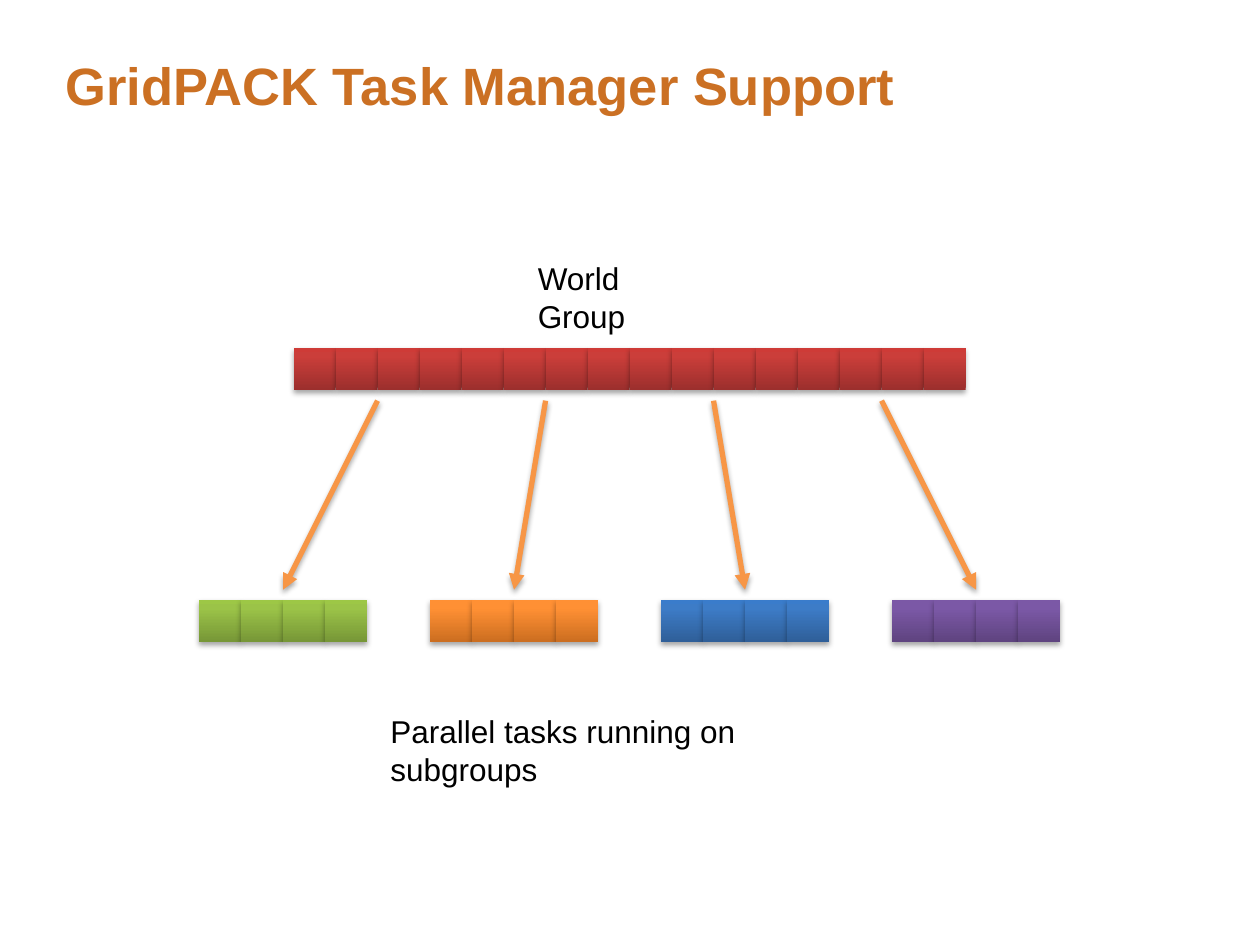
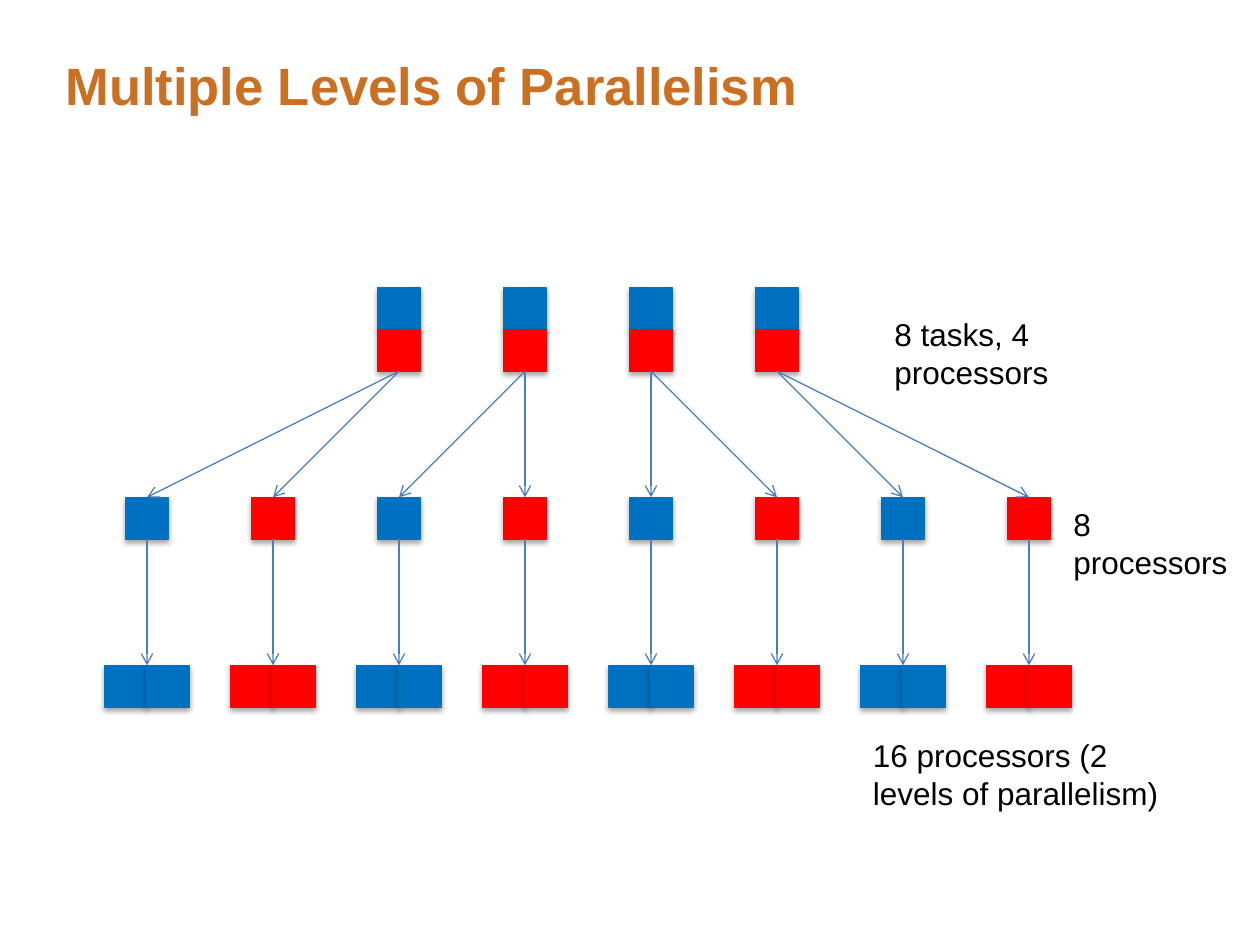
from copy import deepcopy

from lxml.etree import SubElement
from pptx import Presentation
from pptx.dml.color import RGBColor
from pptx.enum.shapes import MSO_CONNECTOR, MSO_SHAPE
from pptx.oxml.ns import qn
from pptx.util import Inches, Pt

CELL = 1 / 3
TOP, BOTTOM = 0, 2
BLUE, RED = "0070C0", "FF0000"
WORLD_SHADES = ("9C2F2D", "CB3E3A", "CE3B37")
SUBGROUP_SHADES = (
    ("779737", "9BC348", "9DC746"),
    ("CC6E20", "FF9034", "FF9136"),
    ("2F5F99", "3D7CC7", "3A7CCB"),
    ("5F4480", "7B58A6", "7C57A8"),
)
TITLE_FONT = {"name": "Arial", "size": Pt(30), "bold": True}
LABEL_FONT = {"name": "Arial", "size": Pt(18)}
NO_MARGINS = dict.fromkeys(("margin_left", "margin_top", "margin_right", "margin_bottom"), 0)


def color(hex_code):
    return RGBColor.from_string(hex_code)


def apply_format(target, values):
    for name, value in values.items():
        setattr(target, name, value)


def add_text(slide, words, box, font, ink, frame_format=None, spacing=1.0):
    frame = slide.shapes.add_textbox(*map(Inches, box)).text_frame
    apply_format(frame, {"word_wrap": True, **(frame_format or {})})
    paragraph = frame.paragraphs[0]
    paragraph.line_spacing = spacing
    run = paragraph.add_run()
    run.text = words
    apply_format(run.font, font)
    run.font.color.rgb = color(ink)


def add_title(slide, words):
    add_text(slide, words, (0.52, 0.5, 8.97, 1.08), TITLE_FONT, "CB7023", NO_MARGINS, 0.85)


def add_label(slide, words, box):
    add_text(slide, words, box, LABEL_FONT, "000000")


def drop_shadow(effects):
    shadow = SubElement(effects, qn("a:outerShdw"), blurRad=str(Pt(3.1)), dist=str(Pt(1.8)),
                        dir="5400000", rotWithShape="0")
    black = SubElement(shadow, qn("a:srgbClr"), val="000000")
    SubElement(black, qn("a:alpha"), val="35000")


def add_cell(slide, left, top):
    cell = slide.shapes.add_shape(
        MSO_SHAPE.RECTANGLE, *map(Inches, (left, top, CELL, CELL)))
    cell.shadow.inherit = False
    drop_shadow(cell._element.spPr.find(qn("a:effectLst")))
    return cell


def add_shaded_cell(slide, left, top, shades):
    cell = add_cell(slide, left, top)
    cell.line.fill.background()
    cell.fill.gradient()
    cell.fill.gradient_angle = 90
    stops = cell._element.spPr.find(".//" + qn("a:gsLst"))
    stops.append(deepcopy(stops[0]))
    for stop, position, shade in zip(cell.fill.gradient_stops, (0, 0.8, 1), shades):
        stop.position = position
        stop.color.rgb = color(shade)


def add_processor(slide, left, top, hue):
    cell = add_cell(slide, left, top)
    cell.fill.solid()
    cell.fill.fore_color.rgb = color(hue)
    cell.line.color.rgb = color(hue)
    cell.line.width = Pt(0.75)
    return cell


def add_arrow(slide, start, end, hue, width, head, shadowed=False):
    arrow = slide.shapes.add_connector(MSO_CONNECTOR.STRAIGHT, *map(Inches, (*start, *end)))
    arrow.line.color.rgb = color(hue)
    arrow.line.width = Pt(width)
    properties = arrow._element.spPr
    SubElement(properties.find(qn("a:ln")), qn("a:tailEnd"), type=head)
    effects = SubElement(properties, qn("a:effectLst"))
    if shadowed:
        drop_shadow(effects)
    return arrow


def add_group(slide, left, top, count, shades):
    for index in range(count):
        add_shaded_cell(slide, left + index * CELL, top, shades)


def add_task_manager(slide, left, top):
    world_left, subgroup_top = left + 0.75, top + 2
    group_size, pitch = 4, 5.5 * CELL
    add_group(slide, world_left, top, group_size * len(SUBGROUP_SHADES), WORLD_SHADES)
    add_label(slide, "World Group", (left + 2.59, top - 0.75, 1.53, 0.4))
    for index, shades in enumerate(SUBGROUP_SHADES):
        add_group(slide, left + index * pitch, subgroup_top, group_size, shades)
    half_group = group_size * CELL / 2
    for index in range(len(SUBGROUP_SHADES)):
        start = world_left + index * group_size * CELL + half_group
        end = left + index * pitch + half_group
        add_arrow(slide, (start, top + 0.42), (end, subgroup_top - 0.08),
                  "F79646", 3, "triangle", shadowed=True)
    add_label(slide, "Parallel tasks running on subgroups", (left + 1.42, top + 2.84, 3.82, 0.4))


def add_parallel_levels(slide, left, top):
    single_top, pair_top = top + 5 * CELL, top + 9 * CELL
    lane_hues = (BLUE, RED) * 4
    stacks, singles = [], []
    for lane in range(2, 6):
        add_processor(slide, left + lane, top, BLUE)
        stacks.append(add_processor(slide, left + lane, top + CELL, RED))
    for lane, hue in enumerate(lane_hues):
        singles.append(add_processor(slide, left + lane, single_top, hue))
    for lane, hue in enumerate(lane_hues):
        for side in (-0.5, 0.5):
            add_processor(slide, left + lane + side * CELL, pair_top, hue)
    for lane, single in enumerate(singles):
        center = left + lane + CELL / 2
        split = add_arrow(slide, (center, top + 2 * CELL), (center, single_top),
                          "4B7EBC", 0.75, "arrow")
        split.begin_connect(stacks[lane // 2], BOTTOM)
        split.end_connect(single, TOP)
        widen = add_arrow(slide, (center, single_top + CELL), (center, pair_top),
                          "4B7EBC", 0.75, "arrow")
        widen.begin_connect(single, BOTTOM)
    add_label(slide, "8 tasks, 4 processors", (left + 6, top + 0.17, 2.3, 0.4))
    add_label(slide, "8 processors", (left + 7.42, top + 1.68, 1.48, 0.4))
    add_label(slide, "16 processors (2 levels of parallelism)",
              (left + 5.83, top + 3.51, 2.58, 0.71))


def main():
    deck = Presentation()
    deck.slide_width, deck.slide_height = Inches(10), Inches(7.5)
    for title, add_diagram, corner in (
        ("GridPACK Task Manager Support", add_task_manager, (1.58, 2.76)),
        ("Multiple Levels of Parallelism", add_parallel_levels, (1, 2.28)),
    ):
        slide = deck.slides.add_slide(deck.slide_layouts[6])
        add_title(slide, title)
        add_diagram(slide, *corner)
    deck.save("out.pptx")


if __name__ == "__main__":
    main()
